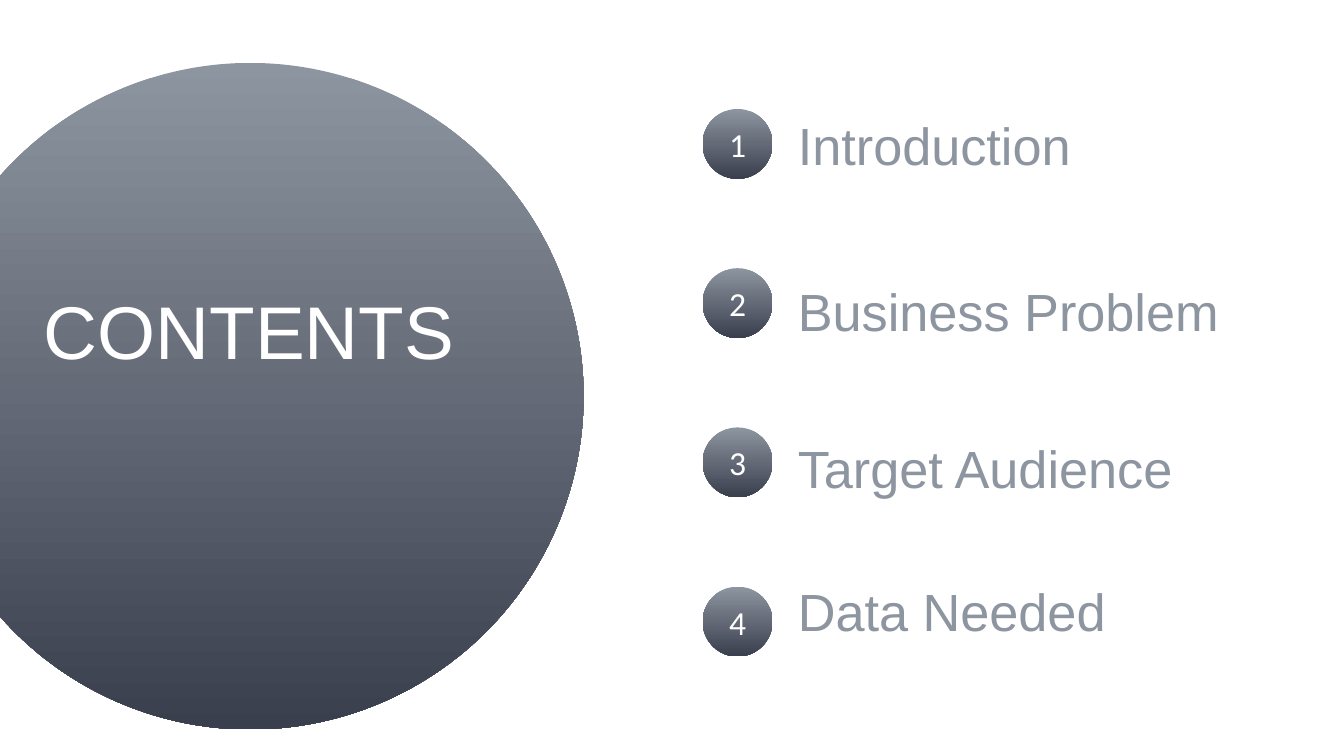
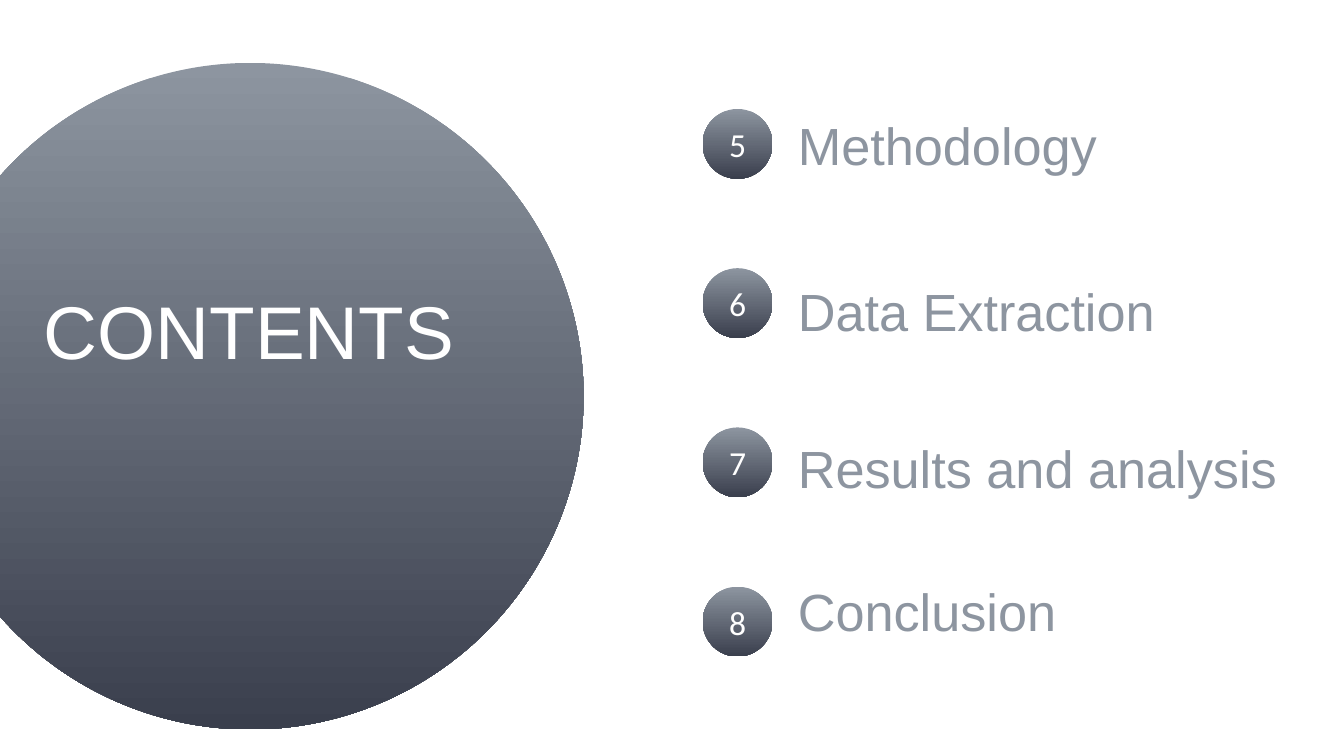
from pptx import Presentation
from pptx.dml.color import RGBColor
from pptx.enum import shapes, text
from pptx.util import Cm, Pt

TITLE = "CONTENTS"
# Each agenda page lists its topics with the width of their labels in cm
AGENDA = [
    [("Introduction", 5.66), ("Business Problem", 8.46),
     ("Target Audience", 7.59), ("Data Needed", 6.32)],
    [("Methodology", 6.15), ("Data Extraction", 7.26),
     ("Results and analysis", 9.55), ("Conclusion", 5.38)],
]

SLATE, NAVY, WHITE = "8D95A0", "3A3F4D", "FFFFFF"
DISC = (-1.57, 1.19, 12.6)  # left, top, diameter
BADGE_LEFT, BADGE_TOP, BADGE_SIZE, BADGE_STEP = 13.28, 2.06, 1.32, 3.01
LABEL_LEFT, LABEL_HEIGHT = 14.83, 1.45
LABEL_TOPS = [2.01, 5.16, 8.13, 10.82]


def color(value):
    return RGBColor.from_string(value)


def write(shape, words, size, font, tint):
    para = shape.text_frame.paragraphs[0]
    para.text = words
    para.font.size = Pt(size)
    para.font.name = font
    para.font.color.rgb = color(tint)
    return para


def add_circle(page, left, top, size):
    circle = page.shapes.add_shape(shapes.MSO_SHAPE.OVAL, Cm(left), Cm(top),
                                   Cm(size), Cm(size))
    circle.shadow.inherit = False
    circle.line.fill.background()
    circle.fill.gradient()
    circle.fill.gradient_angle = 270  # light at the top, dark at the bottom
    for stop, tint in zip(circle.fill.gradient_stops, (SLATE, NAVY)):
        stop.color.rgb = color(tint)
    for stop, position in zip(circle.fill.gradient_stops, (0, 1)):
        stop.position = position
    return circle


def add_text(page, words, left, top, width, height, size, tint, wrap):
    box = page.shapes.add_textbox(Cm(left), Cm(top), Cm(width), Cm(height))
    box.text_frame.word_wrap = wrap
    box.text_frame.auto_size = text.MSO_AUTO_SIZE.SHAPE_TO_FIT_TEXT
    write(box, words, size, "Arial", tint)


def add_badge(page, number, row):
    badge = add_circle(page, BADGE_LEFT, BADGE_TOP + row * BADGE_STEP, BADGE_SIZE)
    badge.text_frame.vertical_anchor = text.MSO_ANCHOR.MIDDLE
    para = write(badge, str(number), 18, "Calibri", WHITE)
    para.alignment = text.PP_ALIGN.CENTER


def add_agenda_page(deck, topics, first_number):
    page = deck.slides.add_slide(deck.slide_layouts[6])

    # Large disc with the title
    add_circle(page, *DISC)
    add_text(page, TITLE, 0.58, 5.26, 8.79, 1.96, 40, WHITE, True)

    # Numbered badges, then the topics beside them
    for row in range(len(topics)):
        add_badge(page, first_number + row, row)
    for (topic, width), top in zip(topics, LABEL_TOPS):
        add_text(page, topic, LABEL_LEFT, top, width, LABEL_HEIGHT, 28, SLATE, False)


def main():
    deck = Presentation()
    deck.slide_width, deck.slide_height = Cm(25.4), Cm(14.29)
    first_number = 1
    for topics in AGENDA:
        add_agenda_page(deck, topics, first_number)
        first_number += len(topics)
    deck.save("out.pptx")


if __name__ == "__main__":
    main()
